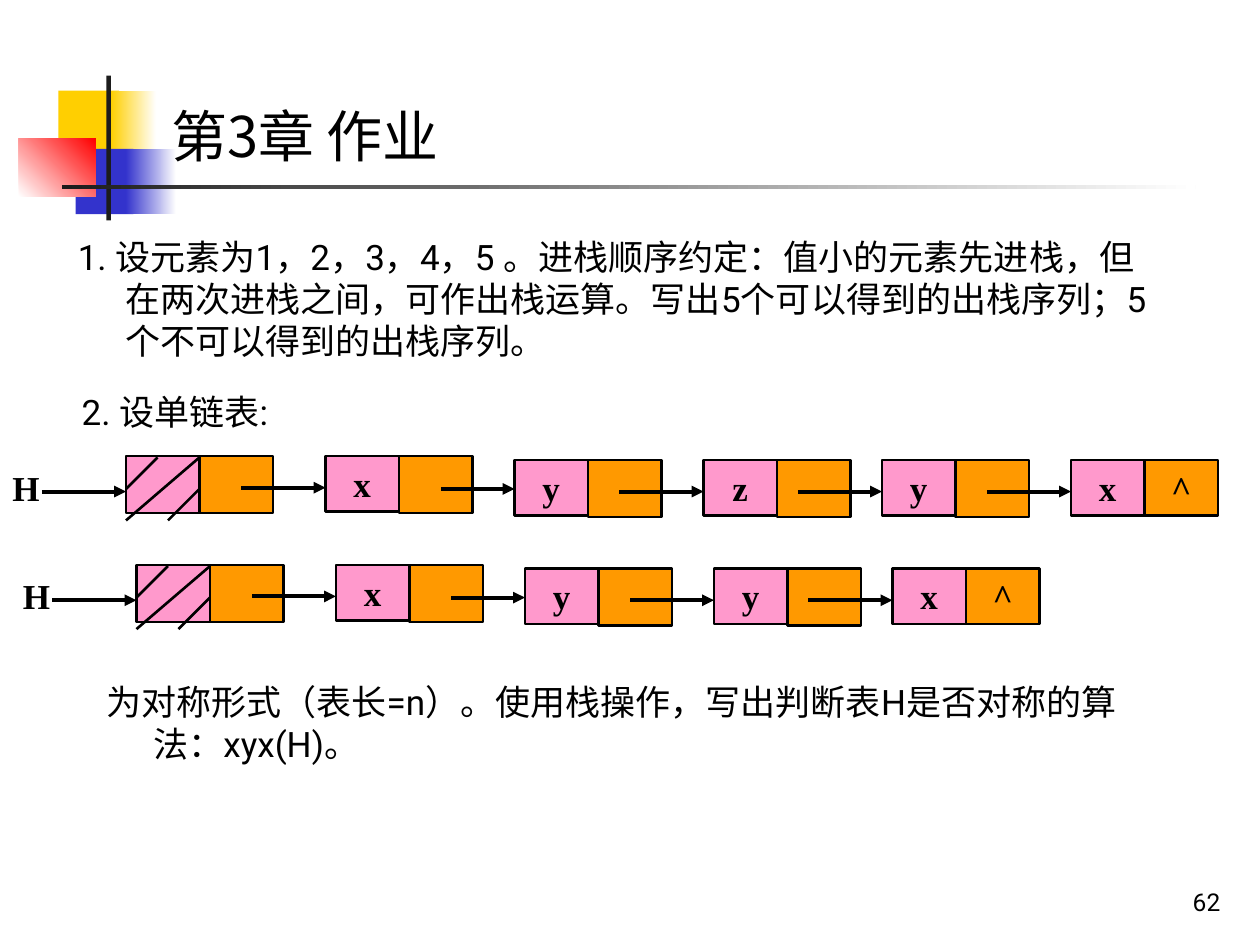
import pptx
import pptx.dml.color
import pptx.enum.lang
import pptx.enum.shapes
import pptx.enum.text
import pptx.oxml
import pptx.oxml.ns
import pptx.util

Pt = pptx.util.Pt
RECT = pptx.enum.shapes.MSO_SHAPE.RECTANGLE
ALIGN = pptx.enum.text.PP_ALIGN
ANCHOR = pptx.enum.text.MSO_ANCHOR

BLACK, WHITE, INK = "000000", "FFFFFF", "1C1C1C"
YELLOW, BLUE, RED = "FFCF01", "3333CC", "FF0000"
PINK, ORANGE = "FF99CC", "FF9900"
CJK = "Noto Sans CJK JP"

CELL_W, DATA_H, LINK_H = 42, 31.7, 32.6
HEAD_X = 72
NODE_XS = [186, 294, 402, 504, 612]
ARROW_LEN = 48
LOW = 2.2  # drop of the later nodes below the head node


def rgb(value):
    return pptx.dml.color.RGBColor.from_string(value)


def sub(parent, tag, **attrs):
    el = pptx.oxml.parse_xml(f"<{tag} {pptx.oxml.ns.nsdecls('a')}/>")
    for name, value in attrs.items():
        el.set(name, value)
    parent.append(el)
    return el


def write(sp, text, size, font, bold=False, align=ALIGN.LEFT, anchor=ANCHOR.TOP):
    tf = sp.text_frame
    frame = {"word_wrap": True, "vertical_anchor": anchor,
             "margin_left": Pt(7.2), "margin_right": Pt(7.2),
             "margin_top": Pt(3.6), "margin_bottom": Pt(3.6)}
    for name, value in frame.items():
        setattr(tf, name, value)
    p = tf.paragraphs[0]
    p.alignment = align
    r = p.add_run()
    r.text = text
    for name, value in {"size": Pt(size), "name": font, "bold": bold}.items():
        setattr(r.font, name, value)
    r.font.color.rgb = rgb(BLACK)
    return p


def write_chinese(s, box, text, size, font, hanging=0):
    """Chinese text with lines 1.2 times the size and an optional hanging indent."""
    sp = s.shapes.add_textbox(*map(Pt, box))
    p = write(sp, text, size, font)
    p.line_spacing = Pt(1.2 * size)
    pPr = p._p.get_or_add_pPr()
    pPr.set("hangingPunct", "0")
    if hanging:
        pPr.set("marL", str(Pt(hanging)))
        pPr.set("indent", str(-Pt(hanging)))
    r = p.runs[0]
    r.font.language_id = pptx.enum.lang.MSO_LANGUAGE_ID.SIMPLIFIED_CHINESE
    sub(r._r.get_or_add_rPr(), "a:ea", typeface=CJK)


def add_rect(shapes, box, fill, line=None):
    sp = shapes.add_shape(RECT, *map(Pt, box))
    sp.shadow.inherit = False
    if isinstance(fill, str):
        sp.fill.solid()
        sp.fill.fore_color.rgb = rgb(fill)
    else:
        start, end, angle = fill
        sp.fill.gradient()
        sp.fill.gradient_angle = angle
        for stop, color in zip(sp.fill.gradient_stops, (start, end)):
            stop.color.rgb = rgb(color)
    if line:
        sp.line.color.rgb = rgb(line)
        sp.line.width = Pt(1.5)
    else:
        sp.line.fill.background()
    return sp


def add_line(shapes, x1, y1, x2, y2, width=1.5, arrow=False):
    cx = shapes.add_connector(pptx.enum.shapes.MSO_CONNECTOR.STRAIGHT,
                              *map(Pt, (x1, y1, x2, y2)))
    cx.line.color.rgb = rgb(BLACK)
    cx.line.width = Pt(width)
    if arrow:
        sub(cx.line._get_or_add_ln(), "a:tailEnd", type="triangle")
    sub(cx._element.spPr, "a:effectLst")


def add_ornament(s, x, y):
    """Coloured squares and crossing bars with the top left corner at x, y."""
    parts = [
        ((22.5, 8.6, 34.6, 37.4), YELLOW),
        ((52.6, 8.6, 25.9, 37.4), (YELLOW, WHITE, 0)),
        ((32.4, 41.8, 33.1, 37.4), BLUE),
        ((61.2, 41.8, 28.8, 37.4), (BLUE, WHITE, 0)),
        ((0, 36, 43.9, 33.1), (WHITE, RED, 45)),
        ((50, 0, 2.6, 82.8), INK),
        ((24.5, 62.6, 648, 2.2), (INK, WHITE, 0)),
    ]
    for (dx, dy, w, h), fill in parts:
        add_rect(s.shapes, (x + dx, y + dy, w, h), fill)


def add_data(shapes, x, y, text, fill):
    sp = add_rect(shapes, (x, y, CELL_W, DATA_H), fill, BLACK)
    write(sp, text, 20, "Times New Roman", True, ALIGN.CENTER)


def add_head(shapes, x, y):
    """Label H, its pointer and the hatched head node."""
    add_rect(shapes, (x + HEAD_X, y, CELL_W, LINK_H), PINK, BLACK)
    add_rect(shapes, (x + HEAD_X + CELL_W, y, CELL_W, LINK_H), ORANGE, BLACK)
    for x1, y1, x2, y2 in [(18, 0, 0, 18), (42, 0, 0, 36), (42, 18, 24, 36)]:
        left, top = x + HEAD_X, y + 0.7
        add_line(shapes, left + x1, top + y1, left + x2, top + y2)
    label = shapes.add_textbox(*map(Pt, (x, y + LOW, CELL_W, DATA_H)))
    write(label, "H", 20, "Times New Roman", True)


def add_linked_list(s, x, y, values):
    shapes = s.shapes.add_group_shape().shapes
    add_head(shapes, x, y)
    nodes = list(zip(NODE_XS, values))
    for i, (dx, value) in enumerate(nodes):
        left, top = x + dx, y + (LOW if i else 0)
        if i == len(nodes) - 1:
            add_data(shapes, left + CELL_W, top, "^", ORANGE)
        else:
            add_rect(shapes, (left + CELL_W, top, CELL_W, LINK_H), ORANGE, BLACK)
        add_data(shapes, left, top, value, PINK)
    ends = [HEAD_X] + [dx for dx, _ in nodes]
    heights = [20.2, 18, 18.7] + [20.2] * (len(nodes) - 2)
    for i, (end, dy) in enumerate(zip(ends, heights)):
        length = CELL_W if i == 2 else ARROW_LEN
        add_line(shapes, x + end - length, y + dy, x + end, y + dy, 2.25, True)


def add_page_number(s, box, number):
    sp = s.shapes.add_textbox(*map(Pt, box))
    write(sp, number, 14, "Roboto", align=ALIGN.RIGHT, anchor=ANCHOR.BOTTOM)


def main():
    prs = pptx.Presentation()
    prs.slide_width, prs.slide_height = Pt(720), Pt(540)
    s = prs.slides.add_slide(prs.slide_layouts[6])
    add_ornament(s, 10.8, 43.2)
    write_chinese(s, (90.7, 54.7, 629.3, 46.1), "第3章 作业", 32, CJK)
    paragraphs = [
        ((37.4, 131, 635.8, 90),
         "1. 设元素为1，2，3，4，5 。进栈顺序约定：值小的元素先进栈，但在两次进栈之间，"
         "可作出栈运算。写出5个可以得到的出栈序列；5个不可以得到的出栈序列。"),
        ((39.6, 219.6, 230.4, 36), "2. 设单链表:"),
        ((53.5, 385.2, 627.8, 63.4),
         "为对称形式（表长=n）。使用栈操作，写出判断表H是否对称的算法：xyx(H)。"),
    ]
    for box, text in paragraphs:
        write_chinese(s, box, text, 20, "Roboto", hanging=27)
    add_linked_list(s, 0, 260.7, "xyzyx")
    add_linked_list(s, 6, 322.8, "xyyx")
    add_page_number(s, (554.6, 491.4, 149.8, 36), "62")
    prs.save("out.pptx")


if __name__ == "__main__":
    main()
